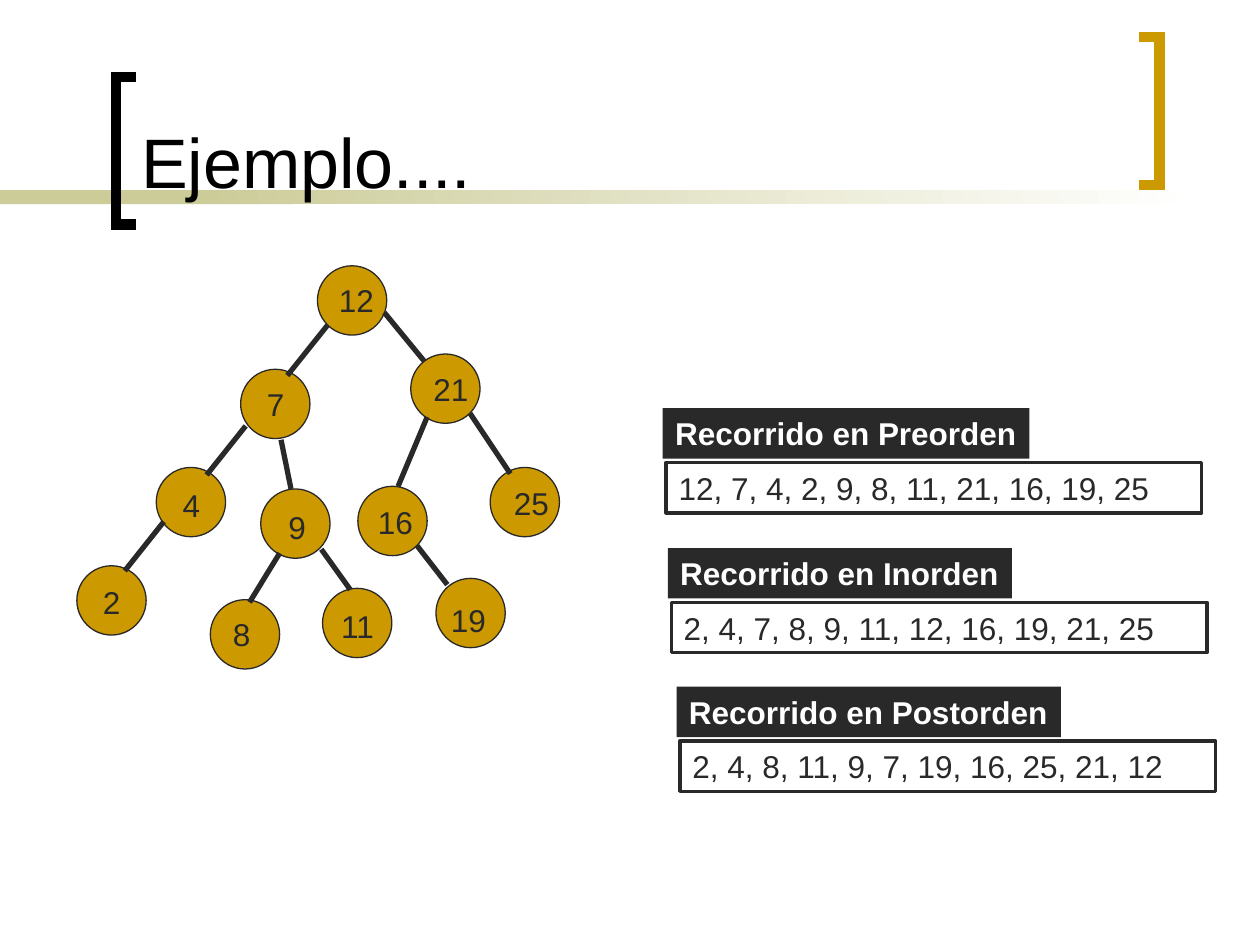
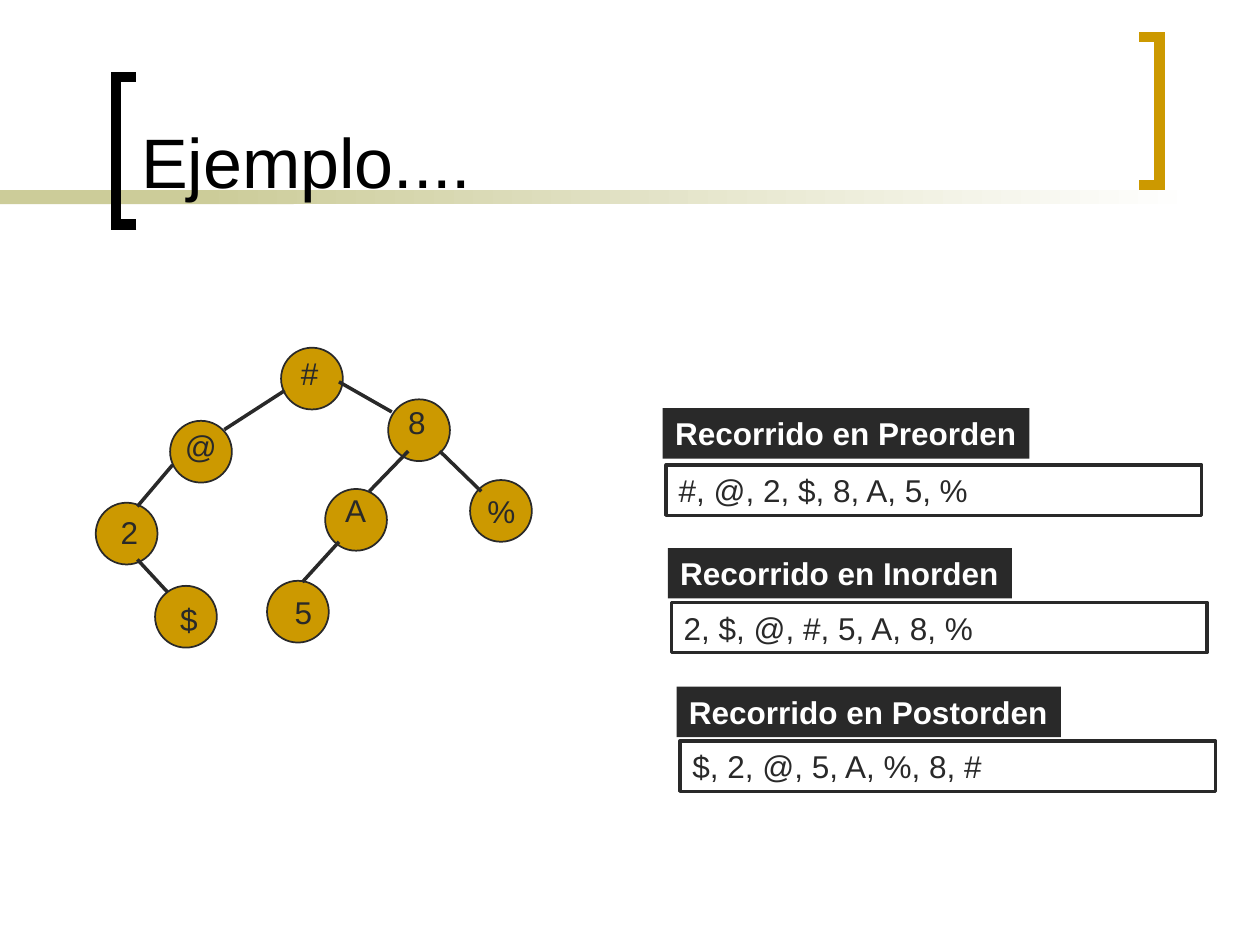
from lxml import etree
from pptx import Presentation
from pptx.dml.color import RGBColor
from pptx.enum.shapes import MSO_CONNECTOR, MSO_SHAPE
from pptx.enum.text import MSO_ANCHOR, MSO_AUTO_SIZE, PP_ALIGN
from pptx.oxml.ns import qn
from pptx.util import Pt

COLORS = {
    "ink": "292929",
    "gold": "CC9900",
    "sand": "CCCC99",
    "black": "000000",
    "white": "FFFFFF",
}
FONT = "Arial"
TITLE_ONLY = 5
BOX_HEIGHT = 28.8

# Heading of each traversal: text, left, top, width
HEADINGS = [
    ("Recorrido en Preorden", 378.7, 233.3, 209.5),
    ("Recorrido en Inorden", 381.6, 313.2, 196.6),
    ("Recorrido en Postorden", 386.6, 392.4, 219.6),
]

# Node: label, circle left and top, label box left, top and width
# Edge: start x and y, end x and y
# Traversal: visited labels, drop below the top of its heading
TREES = [
    {
        "diameter": 39.6,
        "outline": 0.75,
        "edge_width": 3,
        "nodes": [
            ("12", 181.4, 151.9, 186.5, 157, 39.6),
            ("7", 137.5, 211, 145.4, 216.5, 24.5),
            ("21", 234.7, 202.3, 240.5, 208.1, 51.1),
            ("4", 89.3, 267.1, 97.2, 274.3, 51.1),
            ("9", 149, 279.4, 157.7, 286.6, 45.4),
            ("16", 204.5, 277.9, 208.8, 283.7, 45.4),
            ("25", 280.1, 267.1, 286.6, 272.9, 39.6),
            ("2", 43.9, 323.3, 51.8, 329.8, 33.8),
            ("8", 120.2, 342.7, 126, 347.8, 51.1),
            ("11", 184.3, 336.2, 187.9, 343.4, 49.7),
            ("19", 249.1, 330.5, 250.6, 339.8, 56.9),
        ],
        "edges": [
            (187.2, 185.8, 164.2, 214.6),
            (219.6, 178.6, 242.6, 206.6),
            (140.4, 243.4, 118.1, 271.4),
            (160.6, 251.3, 166.3, 279.4),
            (244.1, 238.3, 227.5, 277.9),
            (268.6, 236.2, 291.6, 270.7),
            (93.6, 298.1, 71.3, 326.2),
            (159.8, 316.1, 142.6, 344.2),
            (183.6, 313.9, 200.2, 337),
            (238.3, 311.8, 255.6, 334.1),
        ],
        "traversals": [
            ("12, 7, 4, 2, 9, 8, 11, 21, 16, 19, 25", 31),
            ("2, 4, 7, 8, 9, 11, 12, 16, 19, 21, 25", 31),
            ("2, 4, 8, 11, 9, 7, 19, 16, 25, 21, 12", 31),
        ],
    },
    {
        "diameter": 35.3,
        "outline": 1,
        "edge_width": 2,
        "nodes": [
            ("#", 160.6, 198.7, 164.9, 198.7, 24.5),
            ("@", 97.2, 240.5, 98.6, 240.5, 33.1),
            ("8", 221.8, 228.2, 226.1, 226.8, 24.5),
            ("2", 54.7, 287.3, 61.9, 289.4, 24.5),
            ("A", 185.8, 279.4, 190.1, 277.2, 26.6),
            ("%", 268.6, 274.3, 271.4, 277.9, 30.2),
            ("$", 88.6, 334.8, 95.8, 339.1, 24.5),
            ("5", 152.6, 331.9, 161.3, 335.5, 24.5),
        ],
        "edges": [
            (162.7, 223.2, 128.2, 245.5),
            (193.7, 218.2, 223.9, 235.4),
            (98.6, 265.7, 78.5, 289.4),
            (233.3, 257.8, 211, 280.8),
            (251.3, 257.8, 275, 280.8),
            (78.5, 319.7, 95.8, 338.4),
            (193.7, 309.6, 172.8, 332.6),
        ],
        "traversals": [
            ("#, @, 2, $, 8, A, 5, %", 32.4),
            ("2, $, @, #, 5, A, 8, %", 31),
            ("$, 2, @, 5, A, %, 8, #", 31),
        ],
    },
]


def rgb(name):
    return RGBColor.from_string(COLORS[name])


class Deck:
    """Holds the presentation, its style and the current slide."""

    def __init__(self):
        self.presentation = Presentation()
        self.presentation.slide_width = Pt(720)
        self.presentation.slide_height = Pt(540)
        self.slide = None

    def add_slide(self, title):
        layout = self.presentation.slide_layouts[TITLE_ONLY]
        self.slide = self.presentation.slides.add_slide(layout)
        shape = self.slide.shapes.title
        shape.left, shape.top = Pt(73.4), Pt(7.9)
        shape.width, shape.height = Pt(563.8), Pt(111.6)
        self.set_text(shape, title, size=40, color="black", anchor=MSO_ANCHOR.BOTTOM)

    def set_text(self, shape, text, size=18, color="ink", bold=False, wrap=True,
                 anchor=MSO_ANCHOR.TOP):
        frame = shape.text_frame
        frame.text = text
        frame.word_wrap = wrap
        frame.auto_size = MSO_AUTO_SIZE.NONE
        frame.vertical_anchor = anchor
        paragraph = frame.paragraphs[0]
        paragraph.alignment = PP_ALIGN.LEFT
        font = paragraph.runs[0].font
        font.name, font.size, font.bold = FONT, Pt(size), bold
        font.color.rgb = rgb(color)

    def shape(self, kind, left, top, width, height, fill=None, line=None, line_width=1):
        shape = self.slide.shapes.add_shape(
            kind, Pt(left), Pt(top), Pt(width), Pt(height))
        self.paint(shape, fill, line, line_width)
        return shape

    def paint(self, shape, fill, line, line_width):
        shape.shadow.inherit = False
        if fill:
            shape.fill.solid()
            shape.fill.fore_color.rgb = rgb(fill)
        else:
            shape.fill.background()
        if line:
            shape.line.color.rgb = rgb(line)
            shape.line.width = Pt(line_width)
        else:
            shape.line.fill.background()

    def bracket(self, points, color):
        """Draw an open outline with square corners."""
        start, *rest = [(Pt(x), Pt(y)) for x, y in points]
        builder = self.slide.shapes.build_freeform(*start)
        builder.add_line_segments(rest, close=False)
        shape = builder.convert_to_shape()
        self.paint(shape, None, color, 6)
        outline = shape.element.spPr.find(qn("a:ln"))
        etree.SubElement(outline, qn("a:miter"), lim="800000")
        return shape

    def decorate_master(self):
        """Draw the band and brackets, then move them to the slide master."""
        band = self.shape(MSO_SHAPE.RECTANGLE, 0, 108.7, 167.8, 7.9, "sand")
        fade = self.shape(MSO_SHAPE.RECTANGLE, 113.8, 108.7, 570.2, 7.9)
        fade.fill.gradient()
        fade.fill.gradient_angle = 0
        for stop, color, position in zip(
                fade.fill.gradient_stops, ("sand", "white"), (0, 1)):
            stop.color.rgb = rgb(color)
            stop.position = position
        left = self.bracket(
            [(78, 128.2), (66.2, 128.2), (66.2, 43.9), (78, 43.9)], "black")
        right = self.bracket(
            [(650.9, 21.2), (662.6, 21.2), (662.6, 105.8), (650.9, 105.8)], "gold")
        master_tree = self.presentation.slide_master.shapes.element
        for number, shape in enumerate((band, fade, left, right), start=101):
            shape.element.xpath(".//p:cNvPr")[0].set("id", str(number))
            master_tree.append(shape.element)

    def edge(self, start_x, start_y, end_x, end_y, width):
        connector = self.slide.shapes.add_connector(
            MSO_CONNECTOR.STRAIGHT, Pt(start_x), Pt(start_y), Pt(end_x), Pt(end_y))
        connector.line.color.rgb = rgb("ink")
        connector.line.width = Pt(width)
        etree.SubElement(connector.element.spPr, qn("a:effectLst"))

    def label(self, text, left, top, width):
        box = self.slide.shapes.add_textbox(
            Pt(left), Pt(top), Pt(width), Pt(BOX_HEIGHT))
        self.set_text(box, text)

    def tree(self, tree):
        diameter = tree["diameter"]
        for _, left, top, *_ in tree["nodes"]:
            self.shape(MSO_SHAPE.OVAL, left, top, diameter, diameter,
                       "gold", "ink", tree["outline"])
        for ends in tree["edges"]:
            self.edge(*ends, tree["edge_width"])
        for text, _, _, *place in tree["nodes"]:
            self.label(text, *place)

    def traversal(self, heading, visited, drop):
        text, left, top, width = heading
        values = self.shape(MSO_SHAPE.RECTANGLE, left + 2, top + drop, 306,
                            BOX_HEIGHT, line="ink", line_width=2)
        self.set_text(values, visited)
        header = self.shape(MSO_SHAPE.RECTANGLE, left, top, width, BOX_HEIGHT, "ink")
        self.set_text(header, text, color="white", bold=True, wrap=False)


def main():
    deck = Deck()
    for index, tree in enumerate(TREES):
        deck.add_slide("Ejemplo....")
        if index == 0:
            deck.decorate_master()
        deck.tree(tree)
        for heading, (visited, drop) in zip(HEADINGS, tree["traversals"]):
            deck.traversal(heading, visited, drop)
    deck.presentation.save("out.pptx")


if __name__ == "__main__":
    main()
